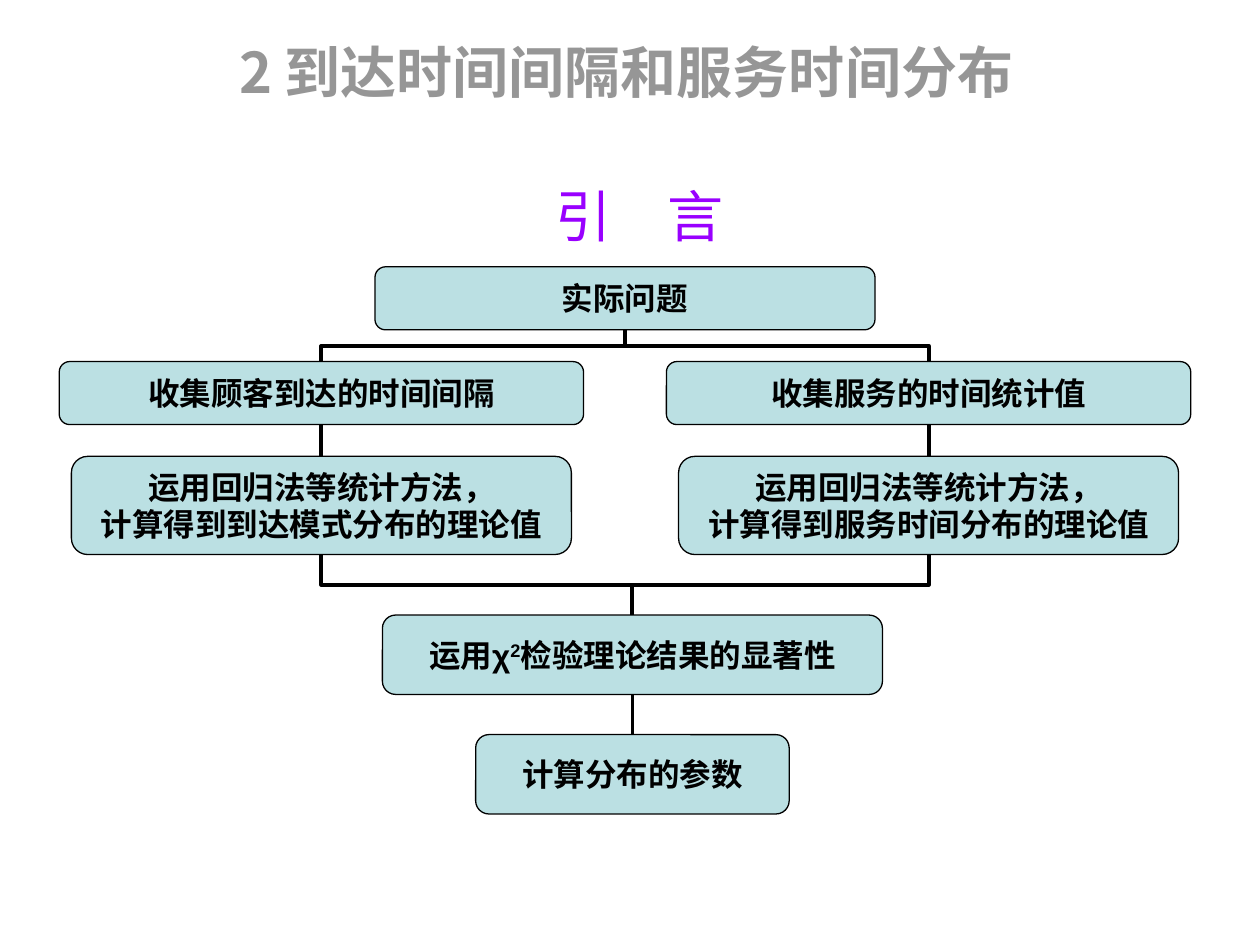
from lxml import etree
from pptx import Presentation
from pptx.dml.color import RGBColor
from pptx.enum import shapes as kinds, text as txt
from pptx.oxml import ns
from pptx.util import Cm, Pt

BLACK = RGBColor(0, 0, 0)
GREY = RGBColor(0x96, 0x96, 0x96)
PURPLE = RGBColor(0x99, 0x00, 0xFF)
TEAL = RGBColor(0xBB, 0xE0, 0xE3)
CJK = "Noto Sans CJK JP"


def style(frame, size, color, bold, face="Arial"):
    for para in frame.paragraphs:
        for run in para.runs:
            run.font.size, run.font.bold = Pt(size), bold
            run.font.color.rgb = color
            run.font.name = face
            latin = run._r.rPr.find(ns.qn("a:latin"))
            east = etree.Element(ns.qn("a:ea"), typeface=CJK)
            latin.addnext(east)


def join(upper, lower):
    """Link bottom to top: straight if the boxes line up, else an elbow."""
    x1, y1 = upper.left + upper.width // 2, upper.top + upper.height
    x2, y2 = lower.left + lower.width // 2, lower.top
    bent = abs(x2 - x1) > Cm(0.1)
    kind = kinds.MSO_CONNECTOR.ELBOW if bent else kinds.MSO_CONNECTOR.STRAIGHT
    wire = slide.shapes.add_connector(kind, x1, y1, x2, y2)
    wire.begin_connect(upper, 2)
    wire.end_connect(lower, 0)
    if bent:
        # A quarter turn makes the elbow leave and arrive vertically.
        wide, high = y2 - y1, abs(x2 - x1)
        wire.left, wire.top = (x1 + x2 - wide) // 2, (y1 + y2 - high) // 2
        wire.width, wire.height = wide, high
        frame = wire._element.spPr.find(ns.qn("a:xfrm"))
        frame.set("rot", "5400000")
        frame.set("flipH", "0")
        frame.set("flipV", "1" if x2 > x1 else "0")
    wire.line.color.rgb = BLACK
    wire.line.width = Pt(2.25)
    etree.SubElement(wire._element.spPr, ns.qn("a:effectLst"))


deck = Presentation()
deck.slide_width, deck.slide_height = Cm(25.4), Cm(19.05)
slide = deck.slides.add_slide(deck.slide_layouts[5])

title = slide.shapes.title
title.left, title.top, title.width, title.height = Cm(1.47), Cm(2.74), Cm(22.86), Cm(3.18)
title.text_frame.text = "引　言"
title.text_frame.vertical_anchor = txt.MSO_ANCHOR.MIDDLE
title.text_frame.paragraphs[0].alignment = txt.PP_ALIGN.CENTER
style(title.text_frame, 32, PURPLE, False)

head = slide.shapes.add_textbox(Cm(4.57), Cm(0.64), Cm(16.41), Cm(1.63))
head.text_frame.word_wrap = False
head.text_frame.text = "2 到达时间间隔和服务时间分布"
style(head.text_frame, 32, GREY, True, CJK)

LEFT, RIGHT = 6.48, 18.72
# name: centre, top, width, height, text
steps = {
    "problem": (12.6, 5.38, 10.08, 1.27, "实际问题"),
    "arrive": (LEFT, 7.29, 10.57, 1.27, "收集顾客到达的时间间隔"),
    "serve": (RIGHT, 7.29, 10.57, 1.27, "收集服务的时间统计值"),
    "arrive fit": (LEFT, 9.2, 10.08, 1.98, "运用回归法等统计方法，\n计算得到到达模式分布的理论值"),
    "serve fit": (RIGHT, 9.2, 10.08, 1.98, "运用回归法等统计方法，\n计算得到服务时间分布的理论值"),
    "test": (12.75, 12.4, 10.08, 1.6, "运用χ"),
    "result": (12.75, 14.81, 6.32, 1.6, "计算分布的参数"),
}
boxes = {}
for name, (mid, top, wide, high, words) in steps.items():
    box = slide.shapes.add_shape(kinds.MSO_SHAPE.ROUNDED_RECTANGLE,
                                 Cm(mid - wide / 2), Cm(top), Cm(wide), Cm(high))
    box.shadow.inherit = False
    box.fill.solid()
    box.fill.fore_color.rgb = TEAL
    box.line.color.rgb = BLACK
    box.line.width = Pt(0.75)
    frame = box.text_frame
    frame.word_wrap = False
    frame.vertical_anchor = txt.MSO_ANCHOR.MIDDLE
    frame.text = words
    if name == "test":
        power, rest = (frame.paragraphs[0].add_run() for _ in range(2))
        power.text, rest.text = "2", "检验理论结果的显著性"
        power._r.get_or_add_rPr().set("baseline", "30000")
    for para in frame.paragraphs:
        para.alignment = txt.PP_ALIGN.CENTER
    style(frame, 18, BLACK, True)
    boxes[name] = box

links = [("problem", "arrive"), ("problem", "serve"),
         ("arrive", "arrive fit"), ("serve", "serve fit"),
         ("arrive fit", "test"), ("serve fit", "test"), ("test", "result")]
for upper, lower in links:
    join(boxes[upper], boxes[lower])

deck.save("out.pptx")
